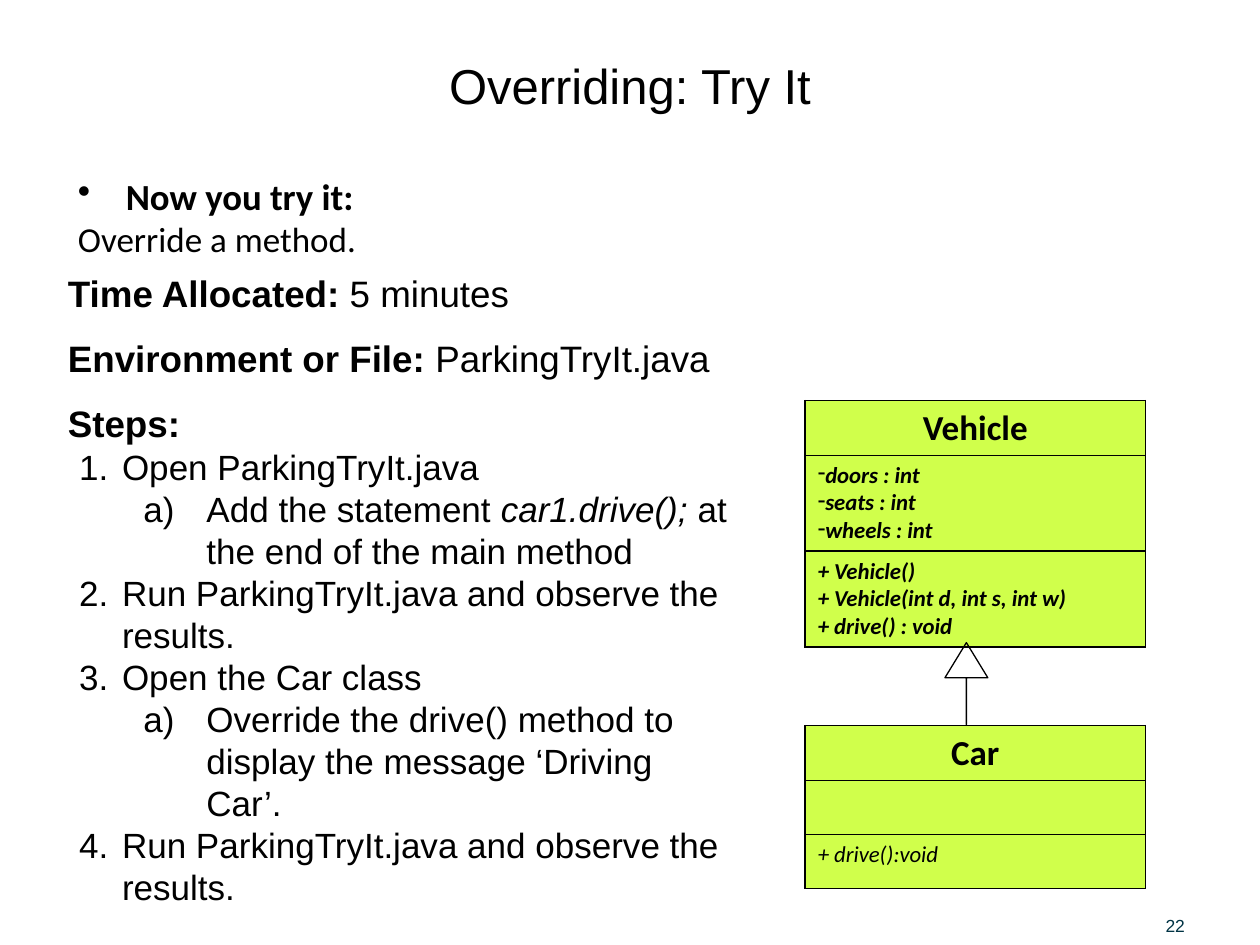
"""Build the 'Overriding: Try It' exercise slide with its class diagram."""
from lxml import etree
from pptx import Presentation
from pptx.dml.color import RGBColor
from pptx.enum.shapes import MSO_SHAPE
from pptx.enum.text import MSO_ANCHOR, PP_ALIGN
from pptx.oxml.ns import qn
from pptx.util import Inches, Pt

TOP, MIDDLE, BOTTOM = MSO_ANCHOR.TOP, MSO_ANCHOR.MIDDLE, MSO_ANCHOR.BOTTOM
LEFT, CENTER = PP_ALIGN.LEFT, PP_ALIGN.CENTER
UP_ARROW = MSO_SHAPE.UP_ARROW

W, H = 10, 7.5
COLORS = {"ink": "000000", "number": "003344", "cell": "D0FF4B"}

TITLE = [{"runs": [("Overriding: Try It", "")], "size": 28, "align": CENTER}]
INTRO = [
    {"runs": [("Now you try it:", "b")], "size": 21, "bullet": ("buChar", "char", "•"), "indent": (0.38, -0.38)},
    {"runs": [("Override a method.", "")], "size": 20},
]
HEADS = [
    [("Time Allocated: ", "b"), ("5 minutes", "")],
    [("Environment or File: ", "b"), ("ParkingTryIt.java", "")],
    [("Steps:", "b")],
]
STEPS = [
    (0, [("Open ParkingTryIt.java", "")]),
    (1, [("Add the statement ", ""), ("car1.drive(); ", "i"), ("at the end of the main method", "")]),
    (0, [("Run ParkingTryIt.java and observe the results.", "")]),
    (0, [("Open the Car class", "")]),
    (1, [("Override the drive() method to display the message ‘Driving Car’.", "")]),
    (0, [("Run ParkingTryIt.java and observe the results.", "")]),
]
STEP_LEVELS = [
    {"bullet": ("buAutoNum", "type", "arabicPeriod"), "indent": (0.43, -0.34)},
    {"bullet": ("buAutoNum", "type", "alphaLcParenR"), "indent": (1.1, -0.5), "level": 1},
]
FIELDS = ["doors : int", "seats : int", "wheels : int"]
METHODS = ["+ Vehicle()", "+ Vehicle(int d, int s, int w)", "+ drive() : void"]
DASH = {"bullet": ("buChar", "char", "-"), "indent": (0, 0), "tab": 0.25}
CLASS_X, CLASS_W = 6.39, 2.7


def rgb(name):
    return RGBColor.from_string(COLORS[name])


def add_paragraph(p, font, runs, size, align=LEFT, before=0, bullet=None, indent=None, level=0, tab=None, color="ink"):
    p.level, p.alignment, p.space_before = level, align, Pt(before)
    pPr = p._p.get_or_add_pPr()
    if indent:
        pPr.set("marL", str(Inches(indent[0])))
        pPr.set("indent", str(Inches(indent[1])))
    if bullet:
        tag, key, value = bullet
        etree.SubElement(pPr, qn("a:" + tag)).set(key, value)
    if tab:
        tabs = etree.SubElement(pPr, qn("a:tabLst"))
        etree.SubElement(tabs, qn("a:tab"), pos=str(Inches(tab)), algn="l")
    for text, style in runs:
        r = p.add_run()
        r.text = text
        r.font.name, r.font.size = font, Pt(size)
        r.font.bold, r.font.italic = "b" in style, "i" in style
        r.font.color.rgb = rgb(color)


def fill_text(tf, paragraphs, font):
    for i, para in enumerate(paragraphs):
        add_paragraph(tf.paragraphs[0] if i == 0 else tf.add_paragraph(), font, **para)


def add_text(s, box, paragraphs, font="Arial", anchor=TOP, inset=None):
    tf = s.shapes.add_textbox(*map(Inches, box)).text_frame
    tf.word_wrap, tf.vertical_anchor = True, anchor
    if inset is not None:
        tf.margin_left = tf.margin_right = tf.margin_top = tf.margin_bottom = Inches(inset)
    fill_text(tf, paragraphs, font)


def add_border(cell):
    tcPr = cell._tc.get_or_add_tcPr()
    for i, side in enumerate(("lnL", "lnR", "lnT", "lnB")):
        ln = etree.Element(qn("a:" + side), w=str(Pt(1)))
        fill = etree.SubElement(ln, qn("a:solidFill"))
        etree.SubElement(fill, qn("a:srgbClr"), val=COLORS["ink"])
        tcPr.insert(i, ln)


def add_class(s, top, name, rows):
    heading = [{"runs": [(name, "b")], "size": 20, "align": CENTER}]
    rows = [(0.43, heading)] + rows
    box = (CLASS_X, top, CLASS_W, sum(h for h, _ in rows))
    table = s.shapes.add_table(len(rows), 1, *map(Inches, box)).table
    table.first_row = table.horz_banding = False
    for i, (height, paragraphs) in enumerate(rows):
        table.rows[i].height = Inches(height)
        cell = table.cell(i, 0)
        cell.fill.solid()
        cell.fill.fore_color.rgb = rgb("cell")
        add_border(cell)
        fill_text(cell.text_frame, paragraphs, "Calibri")


def members(lines, style, **extra):
    return [{"runs": [(line, style)], "size": 13, **extra} for line in lines]


def main():
    prs = Presentation()
    prs.slide_width, prs.slide_height = Inches(W), Inches(H)
    s = prs.slides.add_slide(prs.slide_layouts[6])

    add_text(s, (0.5, 0.2, W - 1, 0.95), TITLE, anchor=MIDDLE)
    add_text(s, (0.52, 1.33, 6.97, 1.2), INTRO, "Calibri")

    add_class(s, 3.18, "Vehicle", [(0.76, members(FIELDS, "bi", **DASH)), (0.76, members(METHODS, "bi"))])
    add_class(s, 5.76, "Car", [(0.43, []), (0.43, members(["+ drive():void"], "i"))])

    steps = [{"runs": runs, "size": 21, "before": 12 if i else 0} for i, runs in enumerate(HEADS)]
    steps += [{"runs": runs, "size": 20, **STEP_LEVELS[level]} for level, runs in STEPS]
    add_text(s, (0.44, 2.1, 5.48, 5.2), steps)

    arrow = s.shapes.add_shape(UP_ARROW, *map(Inches, (7.5, 5.1, 0.34, 0.65)))
    arrow.adjustments[0], arrow.adjustments[1] = 0, 0.82
    arrow.shadow.inherit = False
    arrow.fill.background()
    arrow.line.color.rgb = rgb("ink")
    arrow.line.width = Pt(0.75)

    number = [{"runs": [("22", "")], "size": 10, "color": "number"}]
    add_text(s, (9.25, 7.15, 0.69, 0.28), number, anchor=BOTTOM, inset=0)
    prs.save("out.pptx")


if __name__ == "__main__":
    main()
